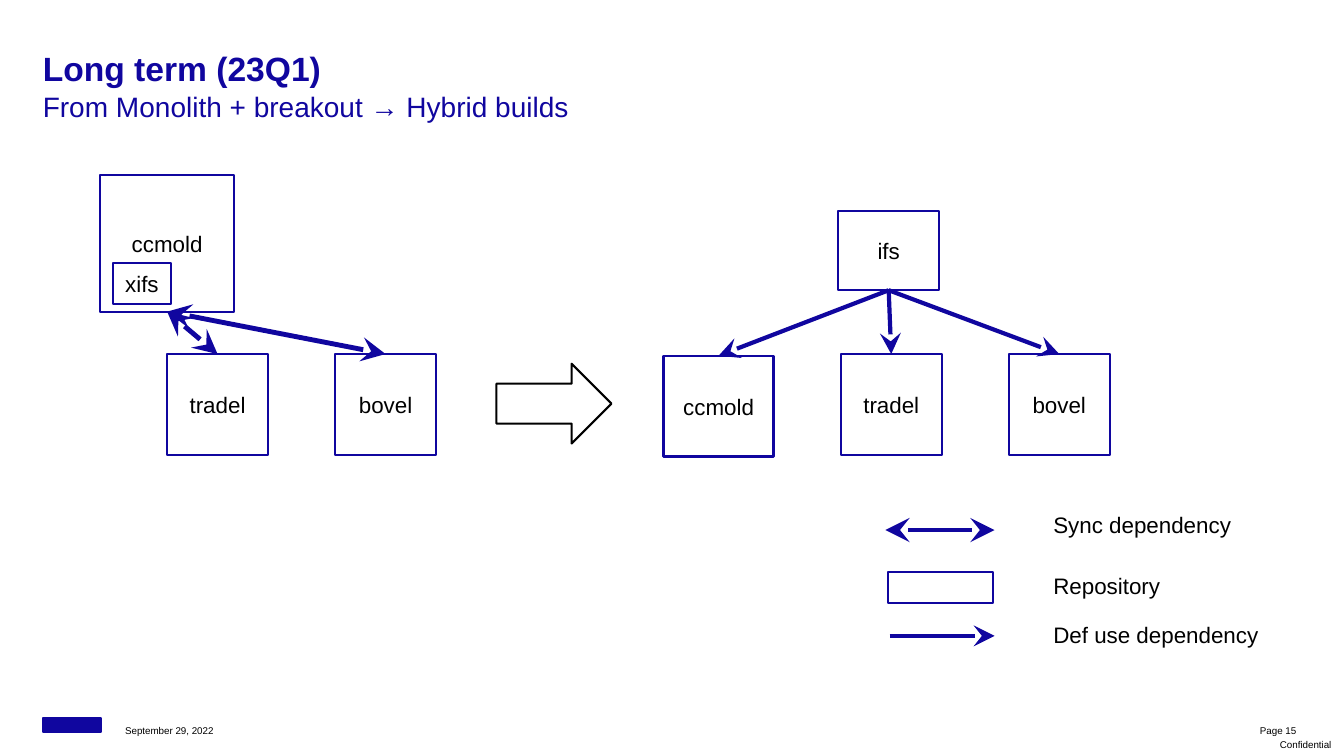
from collections import namedtuple

from lxml.etree import SubElement
from pptx import Presentation
from pptx.dml.color import RGBColor
from pptx.enum.shapes import MSO_CONNECTOR as Conn, MSO_SHAPE as Kind
from pptx.enum.text import MSO_ANCHOR as Anchor, PP_ALIGN as Align
from pptx.oxml.ns import qn
from pptx.util import Emu, Inches, Pt

NAVY = RGBColor(0x10, 0x06, 0x9F)
BLACK = RGBColor(0, 0, 0)
WHITE = RGBColor(255, 255, 255)

# The slide is a grid of 160 columns by 90 rows of square cells
COLS, ROWS = 160, 90
WIDE, HIGH = Inches(13.33), Inches(7.5)
Box = namedtuple("Box", "x y w h")

# Build tools shown in both diagrams
MAIN, LEFT, RIGHT = "ccmold", "tradel", "bovel"


def col(n):
    return Emu(round(WIDE * n / COLS))


def row(n):
    return Emu(round(HIGH * n / ROWS))


def place(box, x, y, w, h):
    """Turn a spot inside a box into left, top, width, height."""
    return col(box.x + x), row(box.y + y), col(w), row(h)


def style(para, size, color, bold=False, align=Align.LEFT, after=0, lead=1.0):
    font = para.font
    font.name, font.size, font.bold = "Arial", Pt(size), bold
    font.color.rgb = color
    para.alignment = align
    para.space_after, para.line_spacing = Pt(after), lead


def label(slide, spot, text, size, color=BLACK, wrap=True, anchor=Anchor.TOP,
          top=0, **look):
    frame = slide.shapes.add_textbox(*spot).text_frame
    frame.margin_left = frame.margin_right = frame.margin_bottom = 0
    frame.margin_top = row(top)
    frame.word_wrap, frame.vertical_anchor = wrap, anchor
    frame.text = text
    style(frame.paragraphs[0], size, color, **look)


def block(slide, spot, text="", kind=Kind.RECTANGLE, edge=NAVY, fill=WHITE):
    shape = slide.shapes.add_shape(kind, *spot)
    shape.shadow.inherit = False
    shape.fill.solid()
    shape.fill.fore_color.rgb = fill
    shape.line.color.rgb, shape.line.width = edge, Pt(1.5)
    if text:
        frame = shape.text_frame
        frame.text, frame.vertical_anchor = text, Anchor.MIDDLE
        style(frame.paragraphs[0], 16, BLACK, align=Align.CENTER, after=6)
    return shape


def arrow(slide, start=(0, 0), end=(0, 0), both=False):
    link = slide.shapes.add_connector(Conn.STRAIGHT, *start, *end)
    link.line.color.rgb, link.line.width = NAVY, Pt(3.5 if both else 3)
    edge = link.line._get_or_add_ln()
    for tag in ("a:headEnd", "a:tailEnd") if both else ("a:tailEnd",):
        tip = SubElement(edge, qn(tag))
        for name, value in (("type", "stealth"), ("w", "lg"), ("len", "lg")):
            tip.set(name, value)
    SubElement(link._element.spPr, qn("a:effectLst"))
    return link


def join(slide, top, low, both=False):
    """Link the bottom of one block to the top of another."""
    link = arrow(slide, both=both)
    link.begin_connect(top, 2)
    link.end_connect(low, 0)


def header(slide, box):
    half = box.h / 2
    label(slide, place(box, 0, 0, box.w, half), "Long term (23Q1)", 24, NAVY,
          bold=True, after=7.4)
    label(slide, place(box, 0, half, box.w, half),
          "From Monolith + breakout → Hybrid builds", 20, NAVY, after=6)


def before(slide, box):
    root = block(slide, place(box, 0, 0, 16, 16.3), MAIN)
    leaves = [block(slide, place(box, 8 + 20 * i, box.h - 12, 12, 12), name)
              for i, name in enumerate((LEFT, RIGHT))]
    block(slide, place(box, 1.5, 10.5, 7, 4.9), "xifs")
    for leaf in leaves:
        join(slide, root, leaf, both=True)


def after(slide, box):
    base = box.h - 12.2
    leaves = [block(slide, place(box, x, base + drop, w, 12), name)
              for x, drop, w, name in ((0, 0.2, 13.1, MAIN),
                                       (21.1, 0, 12, LEFT),
                                       (41.1, 0, 12, RIGHT))]
    root = block(slide, place(box, 20.8, 0, 12, 9.4), "ifs")
    for leaf in leaves:
        join(slide, root, leaf)


def legend(slide, box):
    def key(x, y):
        return col(box.x + x), row(box.y + y)

    arrow(slide, key(0, 2), key(13, 2), both=True)
    block(slide, place(box, 0.3, 7.05, 12.5, 3.6))
    arrow(slide, key(0.5, 14.6), key(13, 14.6))
    for y, text in ((0, "Sync dependency"), (7.3, "Repository"),
                    (13.1, "Def use dependency")):
        label(slide, place(box, 20, y, box.w - 20, 3.1), text, 16,
              wrap=False, after=7.4, lead=0.95)


def footer(slide, box):
    # Plain mark at the left, then date, page and notice
    block(slide, place(box, 0.1, 0.1, 6.9, 1.7), fill=NAVY)
    for x, w, text, lead in ((9.9, 14.2, "September 29, 2022", 1.1),
                             (145, 8.6, "Page 15", 1.0)):
        label(slide, place(box, x, 0, w, 1.8), text, 7,
              anchor=Anchor.BOTTOM, top=2.4, lead=lead)
    label(slide, place(box, box.w - 9.1, 2, 7.6, 2.6), "Confidential", 7,
          anchor=Anchor.MIDDLE, align=Align.RIGHT, lead=0.95)


def main():
    deck = Presentation()
    deck.slide_width, deck.slide_height = WIDE, HIGH
    slide = deck.slides.add_slide(deck.slide_layouts[6])
    header(slide, Box(5.1, 5.7, 142.6, 9.9))
    before(slide, Box(11.9, 20.8, 40, 33.35))
    block(slide, place(Box(59.1, 43.3, 13.7, 9.5), 0, 0, 13.7, 9.5),
          kind=Kind.RIGHT_ARROW, edge=BLACK)
    after(slide, Box(79, 25.15, 53.1, 29.2))
    legend(slide, Box(105.4, 61.1, 44.7, 16.2))
    footer(slide, Box(5, 85.4, 155, 4.6))
    deck.save("out.pptx")


if __name__ == "__main__":
    main()
